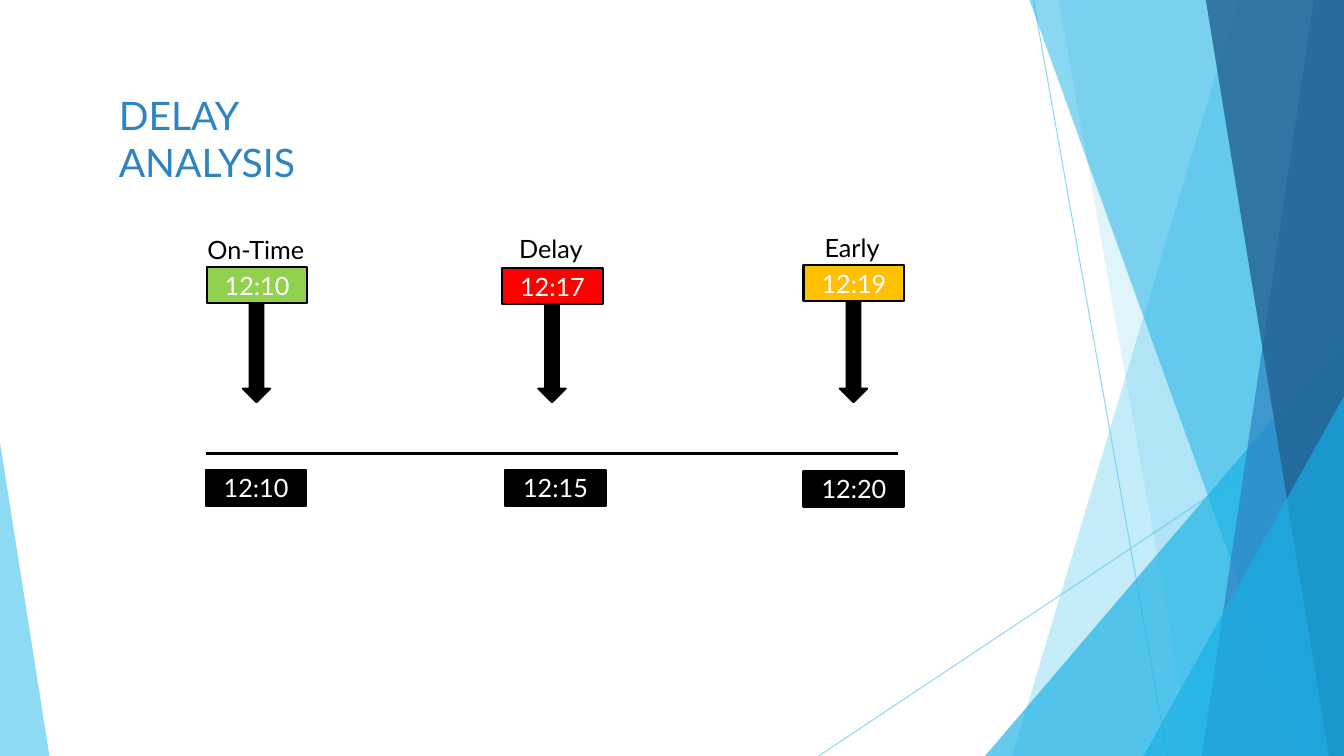
from lxml import etree
from pptx import Presentation
from pptx.dml.color import RGBColor
from pptx.enum.shapes import MSO_CONNECTOR, MSO_SHAPE
from pptx.enum.text import MSO_ANCHOR, PP_ALIGN
from pptx.oxml.ns import qn
from pptx.util import Inches, Pt

FONT = "Lato"
BLACK, WHITE = "000000", "FFFFFF"
SKY, CYAN, BLUE, NAVY = "5FCBEF", "17B0E4", "2E83C3", "226292"
WIDTH, HEIGHT = 13.33, 7.5


def paint(target, color, opacity=100):
    """Give a fill (of a shape, a line or a font) a solid colour and an opacity in percent."""
    target.solid()
    target.fore_color.rgb = RGBColor.from_string(color)
    if opacity < 100:
        clr = target._xPr.find(qn("a:solidFill"))[0]
        etree.SubElement(clr, qn("a:alpha"), val=str(opacity * 1000))


def write(sp, text, size, color):
    r = sp.text_frame.paragraphs[0].add_run()
    r.text = text
    r.font.name = FONT
    r.font.size = Pt(size)
    paint(r.font.fill, color)


prs = Presentation()
prs.slide_width, prs.slide_height = Inches(WIDTH), Inches(HEIGHT)
s = prs.slides.add_slide(prs.slide_layouts[6])

# Lines: x1, y1, x2, y2, colour, width, opacity
decor_lines = [
    (10.25, 0, 11.58, HEIGHT, SKY, 0.75, 70),
    (WIDTH, 4.03, 8.12, HEIGHT, SKY, 0.75, 70),
]
timeline = (2.04, 4.5, 8.91, 4.5, BLACK, 2.25, 100)

# Facets reach the right edge: top left x, bottom left x, colour, opacity.
# Triangles stand on the bottom edge: left, top, width, apex, colour, opacity.
facets = [
    (12.28, 10.04, SKY, 36),
    (10.5, 11.83, SKY, 20),
    (9.77, 3.33, 3.56, 1, CYAN, 66),
    (10.21, 12.91, CYAN, 50),
    (13.03, 11.92, BLUE, 70),
    (11.96, 13.18, NAVY, 80),
    (11.34, 3.93, 1.99, 1, CYAN, 66),
    (0, 4.39, 0.49, 0, SKY, 70),
]


# Background facets, with the thin lines behind them and the timeline in front
for item in decor_lines + facets + [timeline]:
    if len(item) == 7:
        x1, y1, x2, y2, color, width, opacity = item
        line = s.shapes.add_connector(
            MSO_CONNECTOR.STRAIGHT, Inches(x1), Inches(y1), Inches(x2), Inches(y2))
        line.line.width = Pt(width)
        paint(line.line.fill, color, opacity)
        etree.SubElement(line._element.spPr, qn("a:effectLst"))
        continue
    if len(item) == 6:
        left, top, width, apex, color, opacity = item
        sp = s.shapes.add_shape(MSO_SHAPE.ISOSCELES_TRIANGLE, Inches(left), Inches(top),
                                Inches(width), Inches(HEIGHT - top))
        sp.adjustments[0] = apex
    else:
        top_x, bottom_x, color, opacity = item
        outline = s.shapes.build_freeform(Inches(top_x), 0)
        outline.add_line_segments([(Inches(x), Inches(y)) for x, y in (
            (WIDTH, 0), (WIDTH, HEIGHT), (bottom_x, HEIGHT))])
        sp = outline.convert_to_shape()
    sp.shadow.inherit = False
    paint(sp.fill, color, opacity)
    sp.line.fill.background()

# Cases: label, its left, top and width; actual time, its left, top and colour;
# arrow left; scheduled time, its left and top
cases = [
    ("On-Time", 1.96, 2.28, 1.16, "12:10", 2.05, 2.65, "92D050", 2.41, "12:10", 2.04, 4.66),
    ("Delay", 5.05, 2.27, 0.83, "12:17", 4.98, 2.66, "FF0000", 5.34, "12:15", 5.01, 4.66),
    ("Early", 8.08, 2.26, 0.77, "12:19", 7.97, 2.63, "FFC000", 8.33, "12:20", 7.97, 4.67),
]
for (label, label_x, label_y, label_w, actual, actual_x, actual_y, color,
     arrow_x, planned, planned_x, planned_y) in cases:
    for kind, text, x, y, w, h, fill in (
            (MSO_SHAPE.DOWN_ARROW, "", arrow_x, 2.99, 0.27, 1, BLACK),
            (MSO_SHAPE.RECTANGLE, planned, planned_x, planned_y, 1, 0.36, BLACK),
            (MSO_SHAPE.RECTANGLE, actual, actual_x, actual_y, 1, 0.36, color)):
        sp = s.shapes.add_shape(kind, Inches(x), Inches(y), Inches(w), Inches(h))
        sp.shadow.inherit = False
        paint(sp.fill, fill)
        paint(sp.line.fill, BLACK)
        sp.line.width = Pt(1.5)
        if text:
            sp.text_frame.vertical_anchor = MSO_ANCHOR.MIDDLE
            sp.text_frame.paragraphs[0].alignment = PP_ALIGN.CENTER
            write(sp, text, 18, WHITE)
    sp = s.shapes.add_textbox(Inches(label_x), Inches(label_y), Inches(label_w), Inches(0.4))
    sp.text_frame.word_wrap = False
    write(sp, label, 18, BLACK)

title = s.shapes.add_textbox(Inches(1.08), Inches(0.86), Inches(2.93), Inches(1.04))
title.text_frame.word_wrap = True
write(title, "DELAY ANALYSIS", 28, BLUE)

prs.save("out.pptx")
